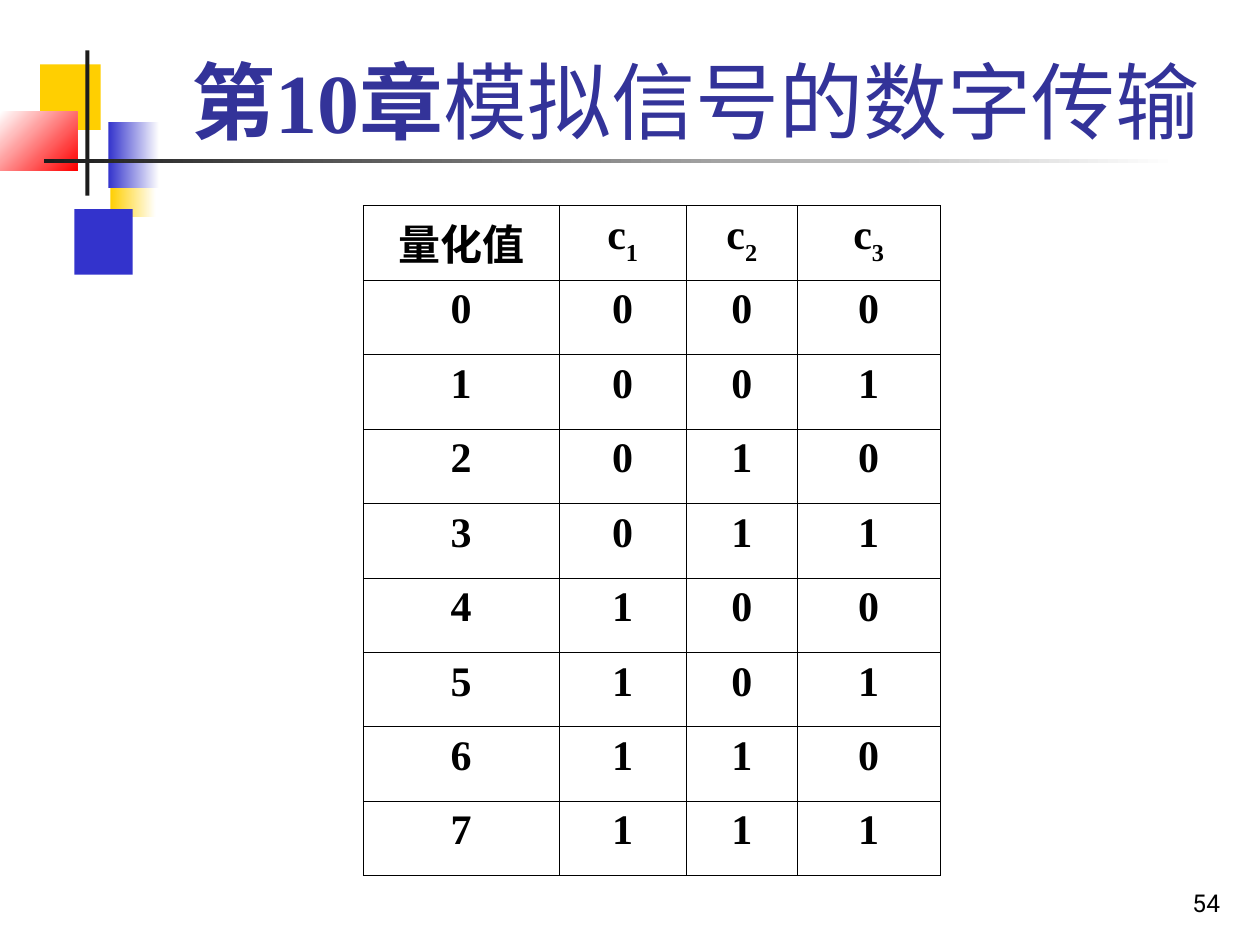
from lxml.etree import SubElement
from pptx import Presentation
from pptx.dml.color import RGBColor
from pptx.enum.shapes import MSO_SHAPE
from pptx.enum.text import MSO_ANCHOR, MSO_AUTO_SIZE, PP_ALIGN
from pptx.oxml.ns import qn
from pptx.util import Pt

BLACK = RGBColor(0x00, 0x00, 0x00)
WHITE = RGBColor(0xFF, 0xFF, 0xFF)
CHARCOAL = RGBColor(0x1C, 0x1C, 0x1C)
YELLOW = RGBColor(0xFF, 0xCF, 0x01)
BLUE = RGBColor(0x33, 0x33, 0xCC)
RED = RGBColor(0xFF, 0x00, 0x00)
NAVY = RGBColor(0x33, 0x33, 0x99)

TITLE_FONT = {"name": "Times New Roman", "size": Pt(48), "bold": True}
CELL_FONT = {"name": "Times New Roman", "size": Pt(24), "bold": True}
NUMBER_FONT = {"name": "Roboto", "size": Pt(14), "bold": False}


class LectureSlide:
    def __init__(self, deck):
        self.slide = deck.slides.add_slide(deck.slide_layouts[5])
        self.shapes = self.slide.shapes

    def add_text(self, paragraph, text, style, color, subscript=False):
        run = paragraph.add_run()
        run.text = text
        for key, value in style.items():
            setattr(run.font, key, value)
        run.font.color.rgb = color
        if subscript:
            run._r.get_or_add_rPr().set("baseline", "-30000")

    def place(self, shape, box):
        for key, value in zip(("left", "top", "width", "height"), box):
            setattr(shape, key, Pt(value))

    def block(self, box, colors, angle=0):
        block = self.shapes.add_shape(MSO_SHAPE.RECTANGLE, *map(Pt, box))
        block.shadow.inherit = False
        block.line.fill.background()
        if len(colors) == 1:
            block.fill.solid()
            block.fill.fore_color.rgb = colors[0]
            return
        block.fill.gradient()
        block.fill.gradient_angle = angle
        for stop, color in zip(block.fill.gradient_stops, colors):
            stop.color.rgb = color

    def title(self, box, parts):
        title = self.shapes.title
        self.place(title, box)
        frame = title.text_frame
        frame.auto_size = MSO_AUTO_SIZE.NONE
        frame.vertical_anchor = MSO_ANCHOR.BOTTOM
        paragraph = frame.paragraphs[0]
        paragraph.alignment = PP_ALIGN.CENTER
        for text, bold in parts:
            self.add_text(paragraph, text, TITLE_FONT | {"bold": bold}, NAVY)

    def page_number(self, box, text):
        frame = self.shapes.add_textbox(*map(Pt, box)).text_frame
        frame.word_wrap = True
        frame.vertical_anchor = MSO_ANCHOR.BOTTOM
        paragraph = frame.paragraphs[0]
        paragraph.alignment = PP_ALIGN.RIGHT
        self.add_text(paragraph, text, NUMBER_FONT, BLACK)

    def border(self, cell):
        properties = cell._tc.get_or_add_tcPr()
        for position, side in enumerate(("a:lnL", "a:lnR", "a:lnT", "a:lnB")):
            line = SubElement(properties, qn(side), w=str(Pt(0.45)))
            fill = SubElement(line, qn("a:solidFill"))
            SubElement(fill, qn("a:srgbClr"), val=str(BLACK))
            properties.insert(position, line)

    def table(self, left, top, widths, row_height, rows):
        box = left, top, sum(widths), row_height * len(rows)
        table = self.shapes.add_table(len(rows), len(widths), *map(Pt, box)).table
        for column, width in zip(table.columns, widths):
            column.width = Pt(width)
        for table_row, entries in zip(table.rows, rows):
            table_row.height = Pt(row_height)
            for cell, (text, subscript) in zip(table_row.cells, entries):
                cell.fill.background()
                self.border(cell)
                paragraph = cell.text_frame.paragraphs[0]
                paragraph.alignment = PP_ALIGN.CENTER
                self.add_text(paragraph, text, CELL_FONT, BLACK)
                if subscript:
                    self.add_text(paragraph, subscript, CELL_FONT, BLACK, True)


def main():
    deck = Presentation()
    deck.slide_width, deck.slide_height = Pt(720), Pt(540)
    lecture = LectureSlide(deck)

    lecture.block((63, 86.5, 26, 37.5), [YELLOW, WHITE])
    lecture.block((42.5, 119.5, 33.3, 37.5), [BLUE])
    lecture.block((23, 36.8, 34.5, 37.5), [YELLOW])
    lecture.block((62, 70, 29, 37.5), [BLUE, WHITE])
    lecture.block((0, 64, 44.3, 33.5), [WHITE, RED], 315)
    lecture.block((48.8, 28.8, 2.3, 83), [CHARCOAL])
    lecture.block((25.2, 90.8, 648, 2.3), [CHARCOAL, WHITE])

    lecture.page_number((554.5, 491.75, 149.75, 36), "54")
    lecture.title((90.7, 16.5, 613.5, 72.8),
                  [("第10章", True), ("模拟信号的数字传输", False)])

    header = [("量化值", "")] + [("c", index) for index in "123"]
    codes = [[(digit, "") for digit in f"{level}{level:03b}"] for level in range(8)]
    lecture.table(207.5, 117.5, (112, 72.7, 63.5, 81.5), 42.55, [header] + codes)

    deck.save("out.pptx")


if __name__ == "__main__":
    main()
